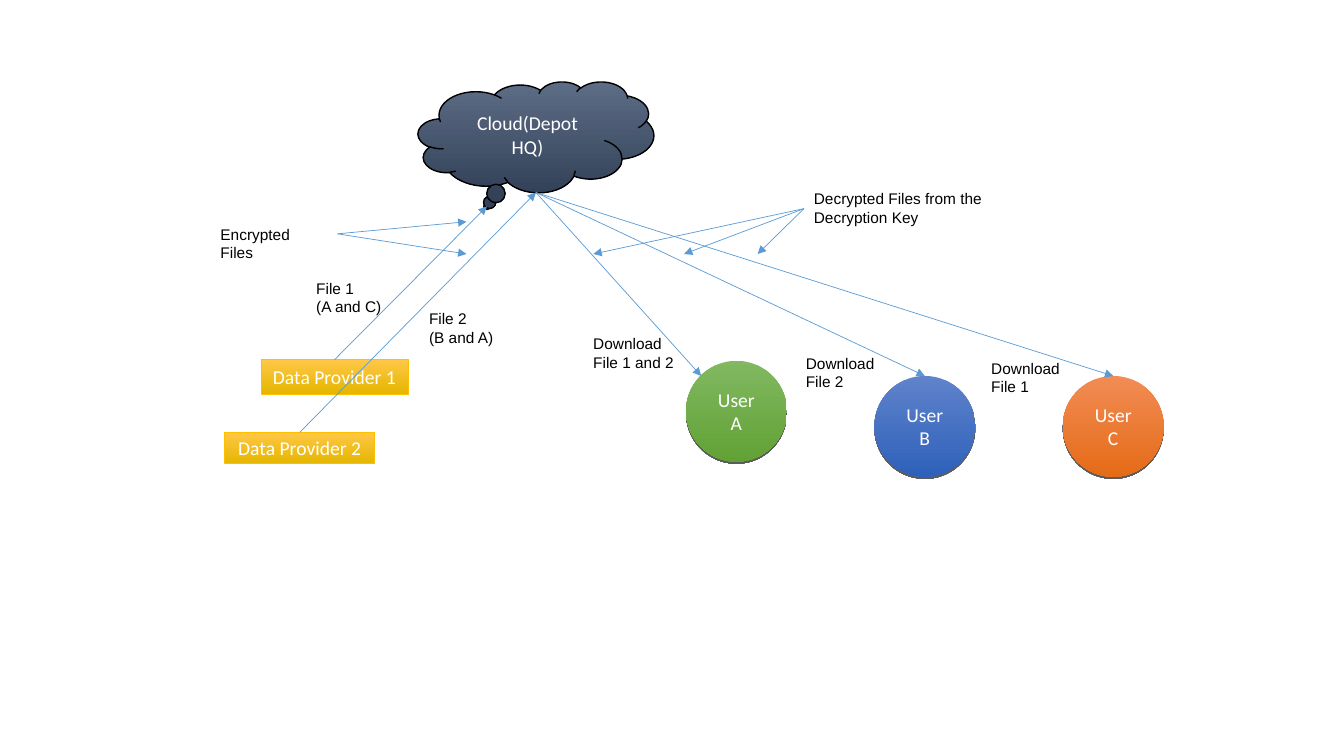
"""Draw encrypted file sharing between data providers, a cloud and three users."""
from lxml import etree
from pptx import Presentation
from pptx.dml.color import RGBColor
from pptx.enum.shapes import MSO_CONNECTOR, MSO_SHAPE
from pptx.enum.text import MSO_ANCHOR, MSO_AUTO_SIZE, PP_ALIGN
from pptx.oxml import parse_xml
from pptx.oxml.ns import nsdecls, qn
from pptx.util import Inches, Pt

RECTANGLE, OVAL, CLOUD = MSO_SHAPE.RECTANGLE, MSO_SHAPE.OVAL, MSO_SHAPE.CLOUD_CALLOUT
STRAIGHT = MSO_CONNECTOR.STRAIGHT
MIDDLE, CENTER = MSO_ANCHOR.MIDDLE, PP_ALIGN.CENTER
GROW = MSO_AUTO_SIZE.SHAPE_TO_FIT_TEXT

WHITE, BLACK = RGBColor(255, 255, 255), RGBColor(0, 0, 0)
GOLD, SKY = RGBColor(0xFF, 0xC0, 0x00), RGBColor(0x5B, 0x9B, 0xD5)
AMBER = (RGBColor(0xFF, 0xC7, 0x46), RGBColor(0xE5, 0xB6, 0x00))
GREEN = (RGBColor(0x81, 0xB8, 0x61), RGBColor(0x61, 0xA2, 0x35))
BLUE = (RGBColor(0x60, 0x83, 0xCB), RGBColor(0x2E, 0x61, 0xBA))
ORANGE = (RGBColor(0xF1, 0x8C, 0x55), RGBColor(0xE5, 0x6B, 0x17))
SLATE = (RGBColor(0x5D, 0x6D, 0x85), RGBColor(0x33, 0x42, 0x58))

COLUMNS, ROWS = 133.4, 75
CELL = Inches(0.1)
USER_SIZE = 10

PROVIDERS = [
    ("Data Provider 1", (25.9, 35.7, 14.6, 3.4)),
    ("Data Provider 2", (22.3, 42.9, 14.9, 3.1)),
]
USERS = [
    ("User A", (68.1, 35.8), GREEN),
    ("User B", (86.8, 37.3), BLUE),
    ("User C", (105.5, 37.3), ORANGE),
]
CLOUD_TEXT, CLOUD_PLACE, CLOUD_POINTER = "Cloud(Depot HQ)", (41.5, 8.1, 23.4, 11), (-0.208, 0.625)
LABELS = [
    (["Encrypted Files"], (20.9, 21.8, 12.5, 2.9), False),
    (["File 1", "(A and C)"], (30.4, 27.2, 8.5, 4.7), False),
    (["File 2", "(B and A)"], (41.6, 30.2, 8.5, 4.7), False),
    (["Download File 1 and 2"], (57.9, 32.7, 11, 4.7), True),
    (["Download File 2"], (79, 34.6, 9.2, 4.7), True),
    (["Download File 1"], (97.4, 35.1, 10.2, 4.7), True),
    (["Decrypted Files from the Decryption Key"], (79.8, 18.3, 21.7, 4.7), True),
]
POINTERS = [
    ((33.5, 23.2), [(46.3, 22), (46.3, 25.2)]),
    ((79.8, 20.7), [(58.9, 25.2), (67.9, 25.2), (75.2, 25.2)]),
]


def cells(values):
    return [round(value * CELL) for value in values]


def point(place, across, down):
    left, top, width, height = place
    return left + width * across, top + height * down


def write(frame, lines, wrap, size, font, color, align=None):
    frame.word_wrap = wrap
    for index, line in enumerate(lines):
        para = frame.add_paragraph() if index else frame.paragraphs[0]
        para.alignment = align
        span = para.add_run()
        span.text = line
        for name, value in {"size": Pt(size), "name": font}.items():
            setattr(span.font, name, value)
        span.font.color.rgb = color


def add_node(page, kind, text, place, shades, outline=None, weight=0.5):
    node = page.shapes.add_shape(kind, *cells(place))
    node.shadow.inherit = False
    node.fill.gradient()
    node.fill.gradient_angle = 270
    for stop, shade, position in zip(node.fill.gradient_stops, shades, (0, 1)):
        stop.color.rgb = shade
        stop.position = position
    if outline is None:
        node.line.fill.background()
    else:
        node.line.color.rgb = outline
        node.line.width = Pt(weight)
    node.text_frame.vertical_anchor = MIDDLE
    write(node.text_frame, [text], True, 14, "Calibri", WHITE, CENTER)
    return node


def add_drop_shadow(node):
    effects = node.element.spPr.find(qn("a:effectLst"))
    effects.append(parse_xml(
        f'<a:outerShdw {nsdecls("a")} dist="{Pt(1.5)}" dir="5400000" algn="ctr" rotWithShape="0">'
        '<a:srgbClr val="000000"><a:alpha val="63000"/></a:srgbClr></a:outerShdw>'))


def add_arrow(page, start, end):
    arrow = page.shapes.add_connector(STRAIGHT, *cells(start + end))
    arrow.line.color.rgb = SKY
    arrow.line.width = Pt(0.5)
    etree.SubElement(arrow.line._get_or_add_ln(), qn("a:tailEnd"), type="triangle")
    etree.SubElement(arrow.element.spPr, qn("a:effectLst"))


def add_label(page, lines, place, wrap):
    box = page.shapes.add_textbox(*cells(place))
    box.text_frame.auto_size = GROW
    write(box.text_frame, lines, wrap, 11, "Arial", BLACK)


def main():
    deck = Presentation()
    deck.slide_width, deck.slide_height = cells((COLUMNS, ROWS))
    page = deck.slides.add_slide(deck.slide_layouts[6])

    for text, place in PROVIDERS:
        add_node(page, RECTANGLE, text, place, AMBER, GOLD)
    user_places = [corner + (USER_SIZE, USER_SIZE) for _, corner, _ in USERS]
    for (text, _, shades), place in zip(USERS, user_places):
        add_drop_shadow(add_node(page, OVAL, text, place, shades))
    cloud = add_node(page, CLOUD, CLOUD_TEXT, CLOUD_PLACE, SLATE, BLACK, 1)
    for index, value in enumerate(CLOUD_POINTER):
        cloud.adjustments[index] = value

    cloud_tip = point(CLOUD_PLACE, *(0.5 + value for value in CLOUD_POINTER))
    cloud_base = point(CLOUD_PLACE, 0.5, 1)
    for (_, place), target in zip(PROVIDERS, (cloud_tip, cloud_base)):
        add_arrow(page, point(place, 0.5, 0), target)
    for place, rim in zip(user_places, ((0.15, 0.15), (0.5, 0), (0.5, 0))):
        add_arrow(page, cloud_base, point(place, *rim))
    for start, ends in POINTERS:
        for end in ends:
            add_arrow(page, start, end)

    for label in LABELS:
        add_label(page, *label)
    deck.save("out.pptx")


if __name__ == "__main__":
    main()
